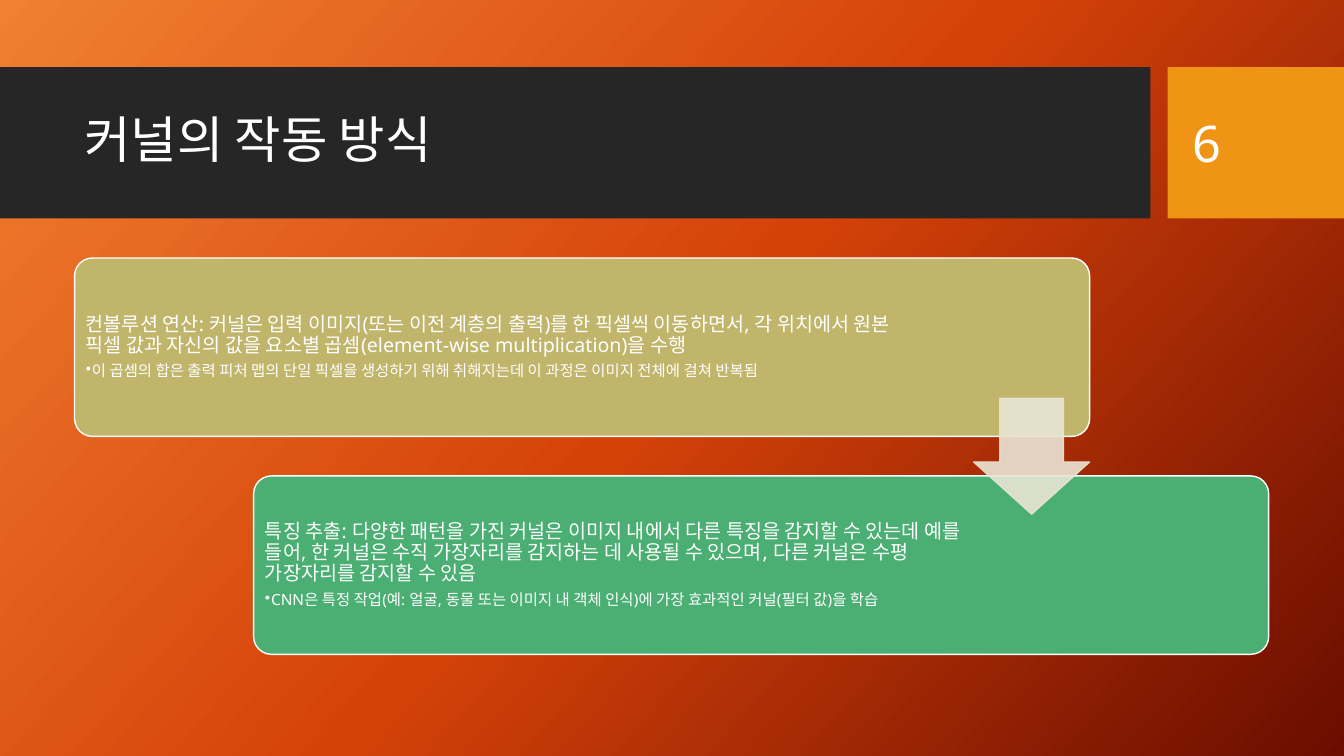
from copy import deepcopy

from lxml import etree
from pptx import Presentation
from pptx import util as u
from pptx.dml.color import RGBColor
from pptx.enum import shapes, text
from pptx.oxml.ns import qn

CELL = u.Inches(1) / 12
COLUMNS, ROWS = 160, 90
FONT = "Noto Sans"
WHITE = "FFFFFF"
INSET = 0.06

CARD_LEFT, CARD_TOP, CARD_WIDTH, CARD_HEIGHT = 8.88, 30.72, 120.84, 21.24
STEP_RIGHT, STEP_DOWN = 21.32, 25.94
CARD_PADDING = 0.63
ARROW_SIZE = 13.8

STEPS = [
    ("C1B56B", 98.88,
     "컨볼루션 연산: 커널은 입력 이미지(또는 이전 계층의 출력)를 한 픽셀씩 이동하면서, 각 위치에서 "
     "원본 픽셀 값과 자신의 값을 요소별 곱셈(element-wise multiplication)을 수행",
     "이 곱셈의 합은 출력 피처 맵의 단일 픽셀을 생성하기 위해 취해지는데 이 과정은 이미지 전체에 걸쳐 반복됨"),
    ("4BAF73", 84.48,
     "특징 추출: 다양한 패턴을 가진 커널은 이미지 내에서 다른 특징을 감지할 수 있는데 예를 들어, "
     "한 커널은 수직 가장자리를 감지하는 데 사용될 수 있으며, 다른 커널은 수평 가장자리를 감지할 수 있음",
     "CNN은 특정 작업(예: 얼굴, 동물 또는 이미지 내 객체 인식)에 가장 효과적인 커널(필터 값)을 학습"),
]


def color(value):
    return RGBColor.from_string(value)


def place(left, top, width, height):
    return [round(cells * CELL) for cells in (left, top, width, height)]


def paint_background(slide, stops, angle):
    fill = slide.background.fill
    fill.gradient()
    fill.gradient_angle = 360 - angle
    stop_list = next(slide.element.iter(qn("a:gsLst")))
    stop_list.append(deepcopy(stop_list[-1]))
    for stop, (position, value) in zip(fill.gradient_stops, stops):
        stop.position = position
        stop.color.rgb = color(value)


def add_block(slide, kind, box, fill, outline=None, adjustments=()):
    block = slide.shapes.add_shape(kind, *place(*box))
    block.shadow.inherit = False
    block.fill.solid()
    block.fill.fore_color.rgb = color(fill)
    if outline:
        block.line.color.rgb = color(outline)
        block.line.width = u.Pt(1)
    else:
        block.line.fill.background()
    for index, amount in enumerate(adjustments):
        block.adjustments[index] = amount
    return block


def set_opacity(block, percent):
    for tint in block.element.spPr.iter(qn("a:srgbClr")):
        etree.SubElement(tint, qn("a:alpha")).set("val", str(percent * 1000))


def add_text_area(slide, box, inset=None):
    frame = slide.shapes.add_textbox(*place(*box)).text_frame
    frame.word_wrap = True
    frame.vertical_anchor = text.MSO_ANCHOR.MIDDLE
    if inset is not None:
        frame.margin_left = frame.margin_right = u.Inches(inset)
        frame.margin_top = frame.margin_bottom = u.Inches(inset)
    return frame


def write(paragraph, words, size, spacing=0.9, after=0):
    paragraph.text = words
    paragraph.line_spacing = spacing
    paragraph.space_after = u.Pt(after)
    for run in paragraph.runs:
        run.font.size = u.Pt(size)
        run.font.name = FONT
        run.font.color.rgb = color(WHITE)


def add_bullet(paragraph, indent):
    properties = paragraph._p.get_or_add_pPr()
    properties.set("marL", str(u.Inches(indent)))
    properties.set("indent", str(-u.Inches(indent)))
    etree.SubElement(properties, qn("a:buChar")).set("char", "•")


def add_header(slide, title, number):
    rectangle = shapes.MSO_SHAPE.RECTANGLE
    add_block(slide, rectangle, (0, 8, 136.95, 18), "262626")
    add_block(slide, rectangle, (139, 8, 21, 18), "F09415")
    title_area = add_text_area(slide, (8.88, 9.84, 126.12, 14.16))
    write(title_area.paragraphs[0], title, 36)
    number_area = add_text_area(slide, (140.76, 9.84, 15.12, 14.28))
    write(number_area.paragraphs[0], number, 36, spacing=1, after=6)


def add_step(slide, index, fill, text_width, statement, detail):
    left = CARD_LEFT + index * STEP_RIGHT
    top = CARD_TOP + index * STEP_DOWN
    add_block(slide, shapes.MSO_SHAPE.ROUNDED_RECTANGLE,
              (left, top, CARD_WIDTH, CARD_HEIGHT), fill, WHITE, [0.1])
    area = add_text_area(slide, (left + CARD_PADDING, top + CARD_PADDING, text_width,
                                 CARD_HEIGHT - 2 * CARD_PADDING), INSET)
    write(area.paragraphs[0], statement, 14, after=4.9)
    detail_line = area.add_paragraph()
    detail_line.level = 1
    write(detail_line, detail, 11, after=1.65)
    add_bullet(detail_line, INSET)


def add_step_arrow(slide):
    left = CARD_LEFT + CARD_WIDTH - ARROW_SIZE
    middle = CARD_TOP + (CARD_HEIGHT + STEP_DOWN) / 2
    arrow = add_block(slide, shapes.MSO_SHAPE.DOWN_ARROW,
                      (left, middle - ARROW_SIZE / 2, ARROW_SIZE, ARROW_SIZE),
                      "E9E5D4", "E9E5D4", [0.55, 0.45])
    set_opacity(arrow, 90)


def main():
    deck = Presentation()
    deck.slide_width = round(COLUMNS * CELL)
    deck.slide_height = round(ROWS * CELL)
    slide = deck.slides.add_slide(deck.slide_layouts[6])
    paint_background(slide, [(0, "F18031"), (0.5, "D54209"), (1, "6A0D00")], 42)
    add_header(slide, "커널의 작동 방식", "6")
    for index, step in enumerate(STEPS):
        add_step(slide, index, *step)
    add_step_arrow(slide)
    deck.save("out.pptx")


if __name__ == "__main__":
    main()
